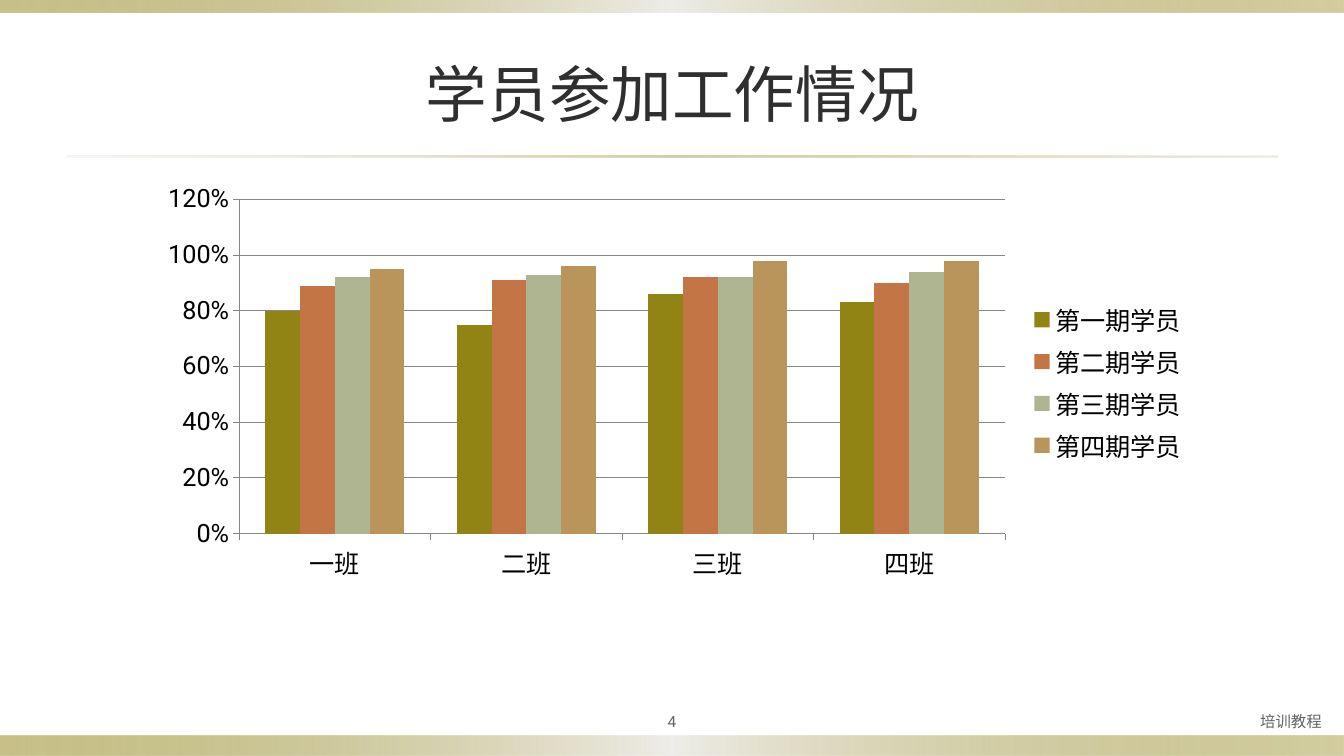
from dataclasses import dataclass

from lxml.etree import SubElement
from pptx import Presentation
from pptx.chart.data import CategoryChartData
from pptx.dml.color import RGBColor
from pptx.enum.chart import XL_CHART_TYPE as ChartType, XL_LEGEND_POSITION as LegendPosition
from pptx.enum.chart import XL_TICK_MARK as TickMark
from pptx.enum.shapes import MSO_SHAPE as Shape
from pptx.enum.text import MSO_ANCHOR as Anchor, PP_ALIGN as Align
from pptx.oxml.ns import qn
from pptx.util import Inches, Pt


@dataclass(frozen=True)
class Theme:
    font: str = "Roboto"
    title_size: int = 44
    chart_size: int = 18
    footer_size: int = 11
    title_color: str = "2F2F2F"
    chart_color: str = "000000"
    footer_color: str = "636363"
    axis_color: str = "868686"
    series_colors: tuple = ("918415", "C47546", "AFB591", "B9945B")
    # Gradient stops: position %, colour, opacity %
    band: tuple = ((0, "918415", 50), (50, "EEEDE8", 100), (100, "918415", 40))
    rule: tuple = ((0, "DCD9CC", 20), (50, "918415", 40), (100, "DCD9CC", 50))


class SlideBuilder:
    def __init__(self, slide, theme):
        self.slide = slide
        self.theme = theme

    def style_font(self, font, size, color):
        font.name = self.theme.font
        font.size = Pt(size)
        font.color.rgb = RGBColor.from_string(color)

    def set_text(self, box, text, size, color, align):
        frame = box.text_frame
        frame.word_wrap = True
        frame.vertical_anchor = Anchor.MIDDLE
        frame.text = text
        paragraph = frame.paragraphs[0]
        paragraph.alignment = align
        self.style_font(paragraph.font, size, color)

    def title(self, text, *bounds):
        heading = self.slide.shapes.title
        heading.left, heading.top, heading.width, heading.height = map(Inches, bounds)
        self.set_text(heading, text, self.theme.title_size, self.theme.title_color, Align.CENTER)

    def footer(self, text, align, *bounds):
        box = self.slide.shapes.add_textbox(*map(Inches, bounds))
        self.set_text(box, text, self.theme.footer_size, self.theme.footer_color, align)

    def gradient_bar(self, stops, *bounds):
        bar = self.slide.shapes.add_shape(Shape.RECTANGLE, *map(Inches, bounds))
        bar.shadow.inherit = False
        bar.line.fill.background()
        bar.fill.gradient()
        bar.fill.gradient_angle = 0
        stop_list = next(bar._element.iter(qn("a:gsLst")))
        stop_list.clear()
        for position, color, opacity in stops:
            stop = SubElement(stop_list, qn("a:gs"), pos=str(position * 1000))
            rgb = SubElement(stop, qn("a:srgbClr"), val=color)
            SubElement(rgb, qn("a:alpha"), val=str(opacity * 1000))

    def column_chart(self, classes, terms, *bounds):
        data = CategoryChartData(number_format="0%")
        data.categories = classes
        for term, rates in terms.items():
            data.add_series(term, rates)
        chart = self.slide.shapes.add_chart(
            ChartType.COLUMN_CLUSTERED, *map(Inches, bounds), data).chart
        self.style_font(chart.font, self.theme.chart_size, self.theme.chart_color)
        chart.has_title = False
        chart.has_legend = True
        chart.legend.position = LegendPosition.RIGHT
        chart.legend.include_in_layout = False

        plot = chart.plots[0]
        plot.gap_width = 150
        plot.overlap = 0
        plot.vary_by_categories = False
        for series, color in zip(plot.series, self.theme.series_colors):
            series.format.fill.solid()
            series.format.fill.fore_color.rgb = RGBColor.from_string(color)

        rates_axis = chart.value_axis
        rates_axis.minimum_scale, rates_axis.maximum_scale = 0, 1.2
        rates_axis.major_unit = 0.2
        rates_axis.has_major_gridlines = True
        rates_axis.tick_labels.number_format = "0%"
        rates_axis.tick_labels.number_format_is_linked = False
        for axis in (rates_axis, chart.category_axis):
            axis.major_tick_mark = TickMark.OUTSIDE
            axis.minor_tick_mark = TickMark.NONE
        for part in (rates_axis, chart.category_axis, rates_axis.major_gridlines):
            part.format.line.color.rgb = RGBColor.from_string(self.theme.axis_color)
            part.format.line.width = Pt(0.75)


def main():
    presentation = Presentation()
    presentation.slide_width = Inches(13.33)
    presentation.slide_height = Inches(7.5)
    theme = Theme()
    title_only = presentation.slide_layouts[5]
    builder = SlideBuilder(presentation.slides.add_slide(title_only), theme)

    builder.gradient_bar(theme.band, 0, 7.3, 13.33, 0.2)
    builder.gradient_bar(theme.band, 0, 0, 13.33, 0.12)
    builder.gradient_bar(theme.rule, 0.67, 1.54, 12, 0.02)
    builder.title("学员参加工作情况", 0.67, 0.3, 12, 1.25)
    builder.column_chart(
        ("一班", "二班", "三班", "四班"),
        {
            "第一期学员": (0.80, 0.75, 0.86, 0.83),
            "第二期学员": (0.89, 0.91, 0.92, 0.90),
            "第三期学员": (0.92, 0.93, 0.92, 0.94),
            "第四期学员": (0.95, 0.96, 0.98, 0.98),
        },
        1.46, 1.75, 10.42, 4.09)
    builder.footer("培训教程", Align.RIGHT, 7.77, 7, 5.44, 0.31)
    builder.footer("4", Align.CENTER, 6, 7, 1.33, 0.31)

    presentation.save("out.pptx")


if __name__ == "__main__":
    main()
